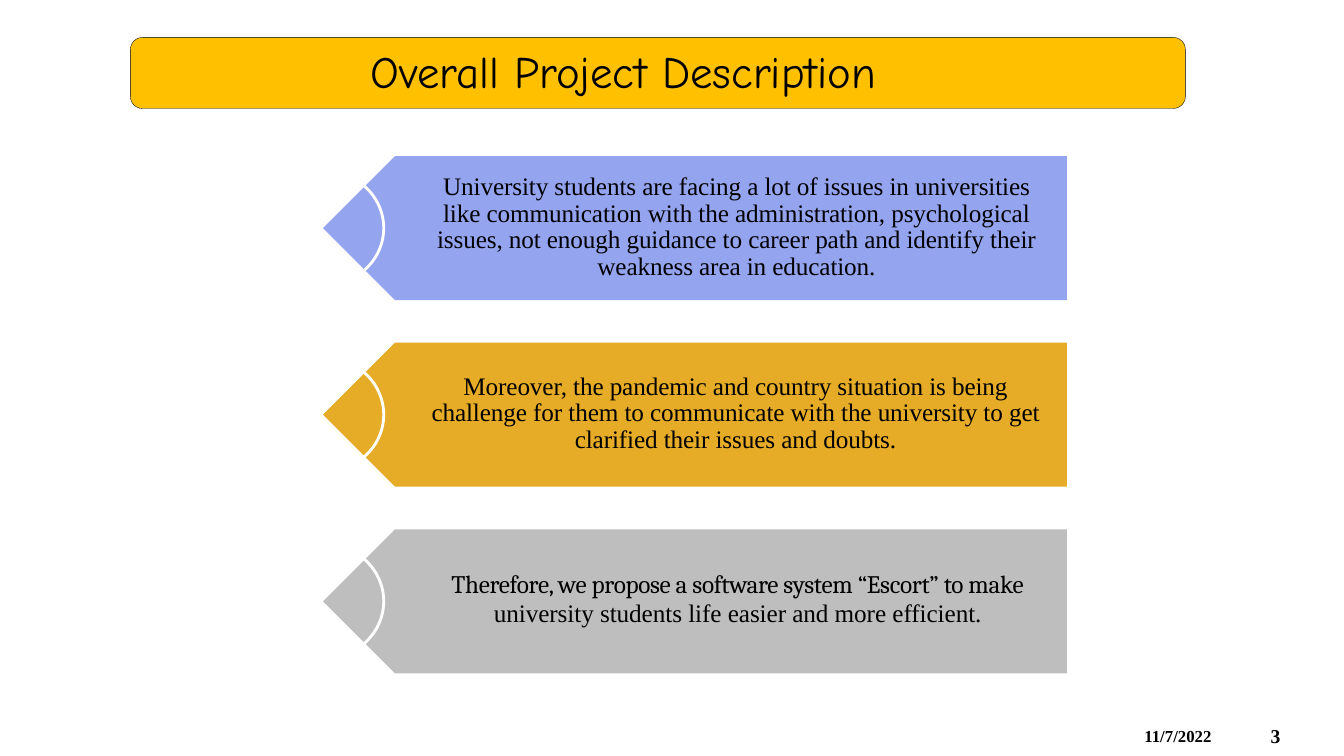
from pptx import Presentation
from pptx.dml.color import RGBColor
from pptx.enum.shapes import MSO_SHAPE as Preset
from pptx.enum.text import PP_ALIGN as Align
from pptx.util import Inches, Pt

COLORS = {
    "ink": "000000", "paper": "FFFFFF", "banner": "FFC000",
    "blue": "94A4EF", "amber": "E6AC27", "gray": "BEBEBE",
}
SERIF = "Times New Roman"
BAND_LEFT, BAND_TOP, BAND_WIDTH, BAND_HEIGHT = 24.03, 20.65, 55.35, 19.05
BAND_PITCH = 24.68
RING_WIDTH, RING_HEIGHT = 9.05, 15.2
BANDS = [
    ("blue", (31.75, 22.4, 46.1, 14.9), 0.05, 0.88, [
        ("University students are facing a lot of issues in universities like "
         "communication with the administration, psychological issues, not "
         "enough guidance to career path and identify their weakness area in "
         "education.", SERIF, -0.08)]),
    ("amber", (31.55, 48.8, 46.36, 11.5), 0.05, 0.88, [
        ("Moreover, the pandemic and country situation is being challenge for "
         "them to communicate with the university to get clarified their "
         "issues and doubts.", SERIF, -0.08)]),
    ("gray", (31.51, 75.33, 46.74, 7.9), 0.01, Pt(20.3), [
        ("Therefore, we propose a software system “Escort” to make",
         "Cambria", -0.22),
        ("university students life easier and more efficient.", SERIF, -0.05)]),
]


def color(name):
    return RGBColor.from_string(COLORS[name])


def write(para, text, font=SERIF, size=18, bold=False, align=Align.LEFT,
          spacing=None, tracking=0):
    span = para.add_run()
    span.text = text
    span.font.name, span.font.size, span.font.bold = font, Pt(size), bold
    span.font.color.rgb = color("ink")
    if tracking:
        span.font._element.set("spc", str(round(tracking * 100)))
    para.alignment = align
    if spacing:
        para.line_spacing = spacing


class Page:
    """Draws styled elements on one slide, placed in percent of its size."""

    def __init__(self, deck):
        self.deck = deck
        self.slide = deck.slides.add_slide(deck.slide_layouts[6])

    def place(self, left, top, width, height):
        across, down = self.deck.slide_width, self.deck.slide_height
        return [round(share * side / 100) for share, side in
                zip((left, top, width, height), (across, down, across, down))]

    def shape(self, preset, area, fill=None, line=None, weight=1):
        shape = self.slide.shapes.add_shape(preset, *self.place(*area))
        shape.shadow.inherit = False
        if fill:
            shape.fill.solid()
            shape.fill.fore_color.rgb = color(fill)
        else:
            shape.fill.background()
        if line:
            shape.line.color.rgb = color(line)
            shape.line.width = Pt(weight)
        else:
            shape.line.fill.background()
        return shape

    def text(self, area, lines, inset=0.01, **style):
        box = self.slide.shapes.add_textbox(*self.place(*area))
        frame = box.text_frame
        frame.word_wrap = True
        frame.margin_left = frame.margin_right = frame.margin_bottom = 0
        frame.margin_top = Inches(inset)
        for index, (text, font, tracking) in enumerate(lines):
            para = frame.add_paragraph() if index else frame.paragraphs[0]
            write(para, text, font=font, tracking=tracking, **style)

    def band(self, row, fill, area, inset, spacing, lines):
        top = BAND_TOP + row * BAND_PITCH
        arrow = self.shape(Preset.PENTAGON,
                           (BAND_LEFT, top, BAND_WIDTH, BAND_HEIGHT), fill)
        arrow.rotation = 180
        self.text(area, lines, inset, align=Align.CENTER, spacing=spacing)
        self.shape(Preset.OVAL,
                   (BAND_LEFT - RING_WIDTH / 2,
                    top + (BAND_HEIGHT - RING_HEIGHT) / 2,
                    RING_WIDTH, RING_HEIGHT), line="paper", weight=2)


def main():
    deck = Presentation()
    deck.slide_width, deck.slide_height = Inches(13.33), Inches(7.5)
    page = Page(deck)
    banner = page.shape(Preset.ROUNDED_RECTANGLE, (9.7, 4.95, 78.5, 9.4),
                        "banner", "ink", 0.25)
    banner.adjustments[0] = 0.17
    page.text((27.55, 5.6, 42.9, 7.5),
              [("Overall Project Description", "Comic Neue", 0)], size=32)
    for row, band in enumerate(BANDS):
        page.band(row, *band)
    page.text((94.55, 95.6, 1.5, 3.5), [("3", SERIF, 0)], size=14, bold=True)
    page.text((85.15, 95.87, 6.7, 2.9), [("11/7/2022", SERIF, 0)],
              size=12, bold=True)
    deck.save("out.pptx")


if __name__ == "__main__":
    main()
